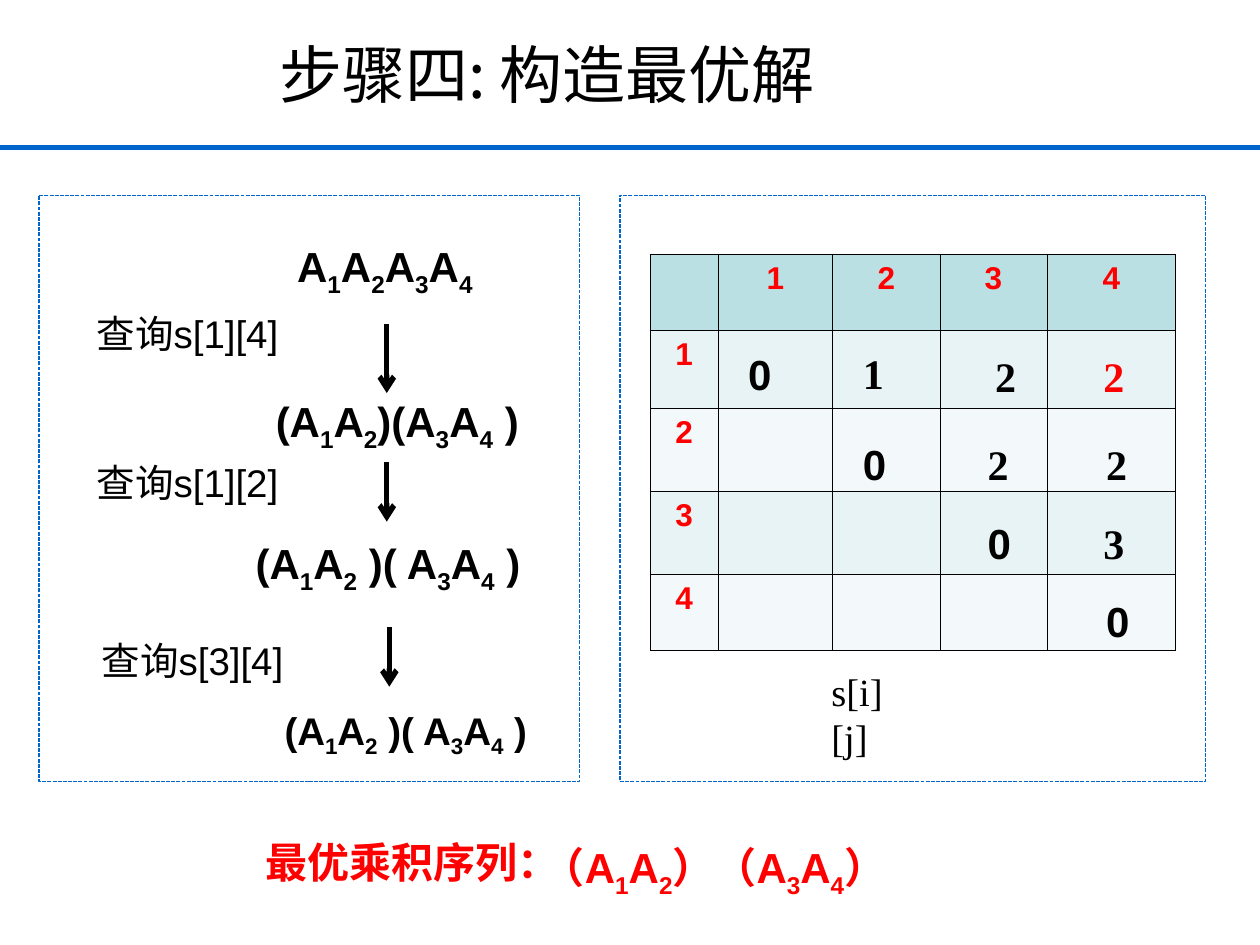
"""Builds the slide on constructing the optimal matrix-chain solution."""
import pptx
import pptx.chart.data
import pptx.dml.color
import pptx.enum.dml
import pptx.enum.shapes
import pptx.enum.text
import pptx.oxml
import pptx.oxml.ns
import pptx.util
from pptx.util import Inches

THEME = {
    "black": "000000", "red": "FF0000", "blue": "0066CC",
    "header": "BBE0E3", "bands": ("E7F3F4", "F3F9FA"),
    "sans": "Arial", "serif": "Times New Roman", "chinese": "Noto Sans CJK SC",
    "title": 36, "formula": 24, "label": 22, "index": 18,
}

TITLE = ("步骤四: 构造最优解", (-0.16, 0.16, 9, 0.85))
PANELS = [(0.31, 1.55, 4.29, 4.65), (4.92, 1.55, 4.65, 4.65)]
FORMULAS = [
    ("A_1A_2A_3A_4", (2.26, 1.86, 1.59, 0.56), "formula", "black", False),
    ("(A_1A_2)(A_3A_4 )", (2.09, 3.09, 2.29, 0.56), "formula", "black", True),
    ("(A_1A_2 )( A_3A_4 )", (1.93, 4.22, 3.59, 0.56), "formula", "black", True),
    ("(A_1A_2 )( A_3A_4 )", (2.16, 5.56, 2.28, 0.52), "label", "black", True),
    ("（A_1A_2）（A_3A_4）", (4.21, 6.63, 3.68, 0.56), "formula", "red", True),
]
QUERIES = [("s[1][4]", 0.67, 2.41), ("s[1][2]", 0.67, 3.59), ("s[3][4]", 0.71, 5.01)]
ARROWS = [(3.07, 2.57, 3.12), (3.07, 3.67, 4.14), (3.09, 4.98, 5.45)]
TABLE_BOX = (5.16, 2.02, 4.17, 3.15)
COLUMN_WIDTHS = [0.54, 0.91, 0.85, 0.85, 1.02]
ROW_HEIGHTS = [0.6, 0.62, 0.66, 0.66, 0.6]
SPLITS = [
    ("0", 5.84, 2.72, "black"), ("1", 6.75, 2.71, "black"),
    ("2", 7.8, 2.73, "black"), ("2", 8.66, 2.73, "red"),
    ("0", 6.75, 3.43, "black"), ("2", 7.74, 3.43, "black"), ("2", 8.68, 3.43, "black"),
    ("0", 7.74, 4.06, "black"), ("3", 8.66, 4.06, "black"),
    ("0", 8.68, 4.68, "black"),
]
TABLE_CAPTION = ("s[i][j]", (6.5, 5.25, 0.89, 0.47))
RESULT_LABEL = ("最优乘积序列：", (2.01, 6.59, 2.73, 0.5))


def color(name):
    return pptx.dml.color.RGBColor.from_string(THEME.get(name, name))


def inches(box):
    return [Inches(length) for length in box]


def add_run(paragraph, text, face, size, ink="black", bold=False, subscript=False):
    run = paragraph.add_run()
    run.text = text
    formats = {"name": THEME[face], "size": pptx.util.Pt(THEME[size]), "bold": bold}
    for attribute, value in formats.items():
        setattr(run.font, attribute, value)
    run.font.color.rgb = color(ink)
    properties = run._r.get_or_add_rPr()
    if face == "chinese":
        latin = properties.find(pptx.oxml.ns.qn("a:latin"))
        latin.addnext(pptx.oxml.parse_xml(
            f'<a:ea {pptx.oxml.ns.nsdecls("a")} typeface="{THEME[face]}"/>'))
    if subscript:
        properties.set("baseline", "-25000")


def add_text(slide, box, runs, wrap=False):
    frame = slide.shapes.add_textbox(*inches(box)).text_frame
    frame.word_wrap = wrap
    for run in runs:
        add_run(frame.paragraphs[0], *run)


def formula_runs(text, size, ink):
    first, *terms = text.split("_")
    runs = [(first, "sans", size, ink, True)]
    for term in terms:
        runs.append((term[0], "sans", size, ink, True, True))
        if term[1:]:
            runs.append((term[1:], "sans", size, ink, True))
    return runs


def add_line(slide, start, end, ink, arrow=False):
    line = slide.shapes.add_connector(
        pptx.enum.shapes.MSO_CONNECTOR.STRAIGHT, *inches(start + end))
    line.line.color.rgb = color(ink)
    line.line.width = pptx.util.Pt(3)
    namespace = pptx.oxml.ns.nsdecls("a")
    if arrow:
        line.line._get_or_add_ln().append(
            pptx.oxml.parse_xml(f'<a:tailEnd {namespace} type="arrow"/>'))
    line._element.spPr.append(pptx.oxml.parse_xml(f"<a:effectLst {namespace}/>"))


def add_borders(cell):
    properties = cell._tc.get_or_add_tcPr()
    for position, side in enumerate(("lnL", "lnR", "lnT", "lnB")):
        properties.insert(position, pptx.oxml.parse_xml(
            f'<a:{side} {pptx.oxml.ns.nsdecls("a")} w="5715"><a:solidFill>'
            f'<a:srgbClr val="{THEME["black"]}"/></a:solidFill></a:{side}>'))


def add_split_table(slide):
    table = slide.shapes.add_table(
        len(ROW_HEIGHTS), len(COLUMN_WIDTHS), *inches(TABLE_BOX)).table
    for column, width in zip(table.columns, COLUMN_WIDTHS):
        column.width = Inches(width)
    for row, height in zip(table.rows, ROW_HEIGHTS):
        row.height = Inches(height)
    for row in range(len(ROW_HEIGHTS)):
        fill = THEME["bands"][(row - 1) % 2] if row else "header"
        for column in range(len(COLUMN_WIDTHS)):
            cell = table.cell(row, column)
            cell.fill.solid()
            cell.fill.fore_color.rgb = color(fill)
            add_borders(cell)
            if (row == 0) != (column == 0):
                paragraph = cell.text_frame.paragraphs[0]
                paragraph.alignment = pptx.enum.text.PP_ALIGN.CENTER
                add_run(paragraph, str(row + column), "sans", "index", "red", True)


def add_panel(slide, box):
    panel = slide.shapes.add_shape(
        pptx.enum.shapes.MSO_SHAPE.RECTANGLE, *inches(box))
    panel.shadow.inherit = False
    panel.fill.background()
    panel.line.color.rgb = color("blue")
    formats = {"width": pptx.util.Pt(0.75),
               "dash_style": pptx.enum.dml.MSO_LINE.SQUARE_DOT}
    for attribute, value in formats.items():
        setattr(panel.line, attribute, value)


def add_title(slide):
    text, box = TITLE
    title = slide.shapes.title
    for attribute, value in zip(("left", "top", "width", "height"), inches(box)):
        setattr(title, attribute, value)
    title.text_frame.vertical_anchor = pptx.enum.text.MSO_ANCHOR.MIDDLE
    paragraph = title.text_frame.paragraphs[0]
    paragraph.alignment = pptx.enum.text.PP_ALIGN.CENTER
    add_run(paragraph, text, "chinese", "title")


def main():
    presentation = pptx.Presentation()
    presentation.slide_width = Inches(10)
    presentation.slide_height = Inches(7.5)
    slide = presentation.slides.add_slide(presentation.slide_layouts[5])
    add_title(slide)
    add_line(slide, (0, 1.17), (10, 1.17), "blue")
    for box in PANELS:
        add_panel(slide, box)
    add_split_table(slide)
    for text, left, top, ink in SPLITS:
        face = "sans" if text == "0" else "serif"
        add_text(slide, (left, top, 0.37, 0.5), [(text, face, "formula", ink, True)], True)
    caption, box = TABLE_CAPTION
    add_text(slide, box, [(caption, "serif", "label")])
    for text, box, size, ink, wrap in FORMULAS:
        add_text(slide, box, formula_runs(text, size, ink), wrap)
    for entry, left, top in QUERIES:
        add_text(slide, (left, top, 1.71, 0.47),
                 [("查询", "chinese", "label"), (entry, "sans", "label")])
    for x, top, bottom in ARROWS:
        add_line(slide, (x, top), (x, bottom), "black", arrow=True)
    label, box = RESULT_LABEL
    add_text(slide, box, [(label, "chinese", "formula", "red", True)])
    presentation.save("out.pptx")


if __name__ == "__main__":
    main()
